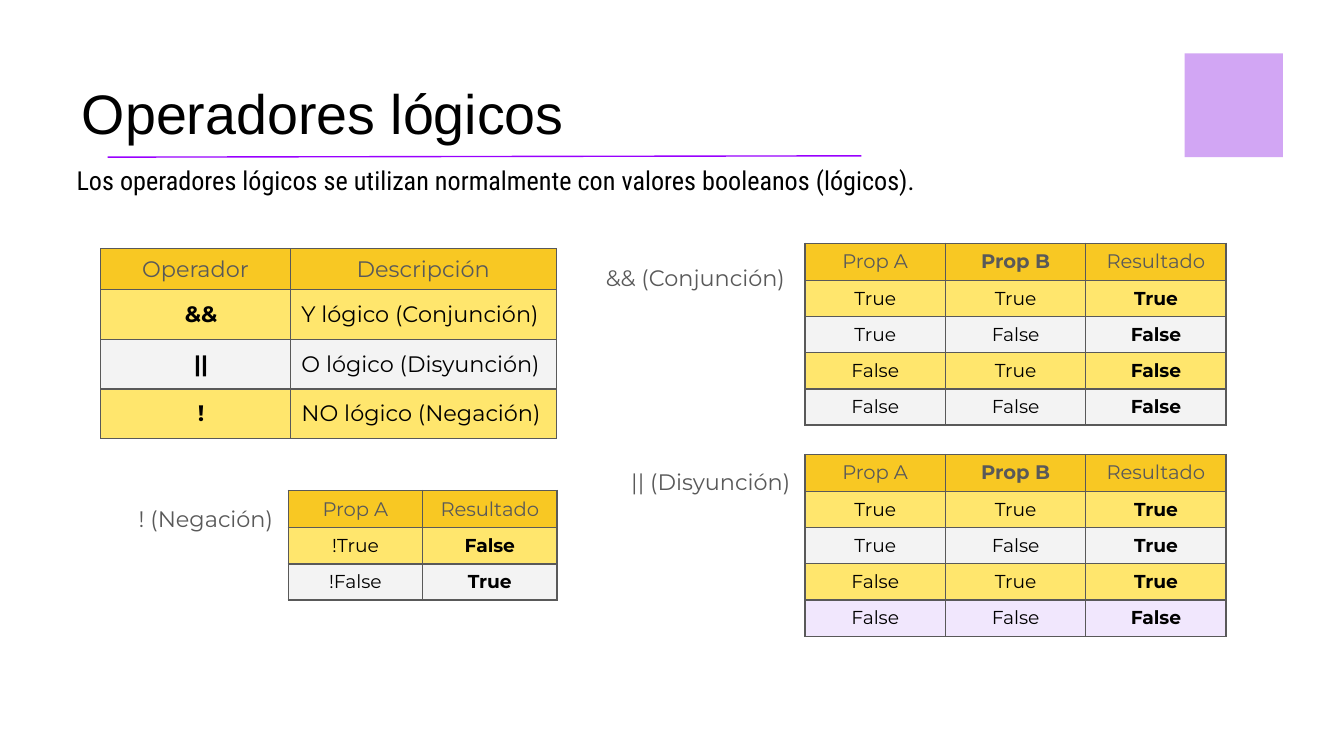
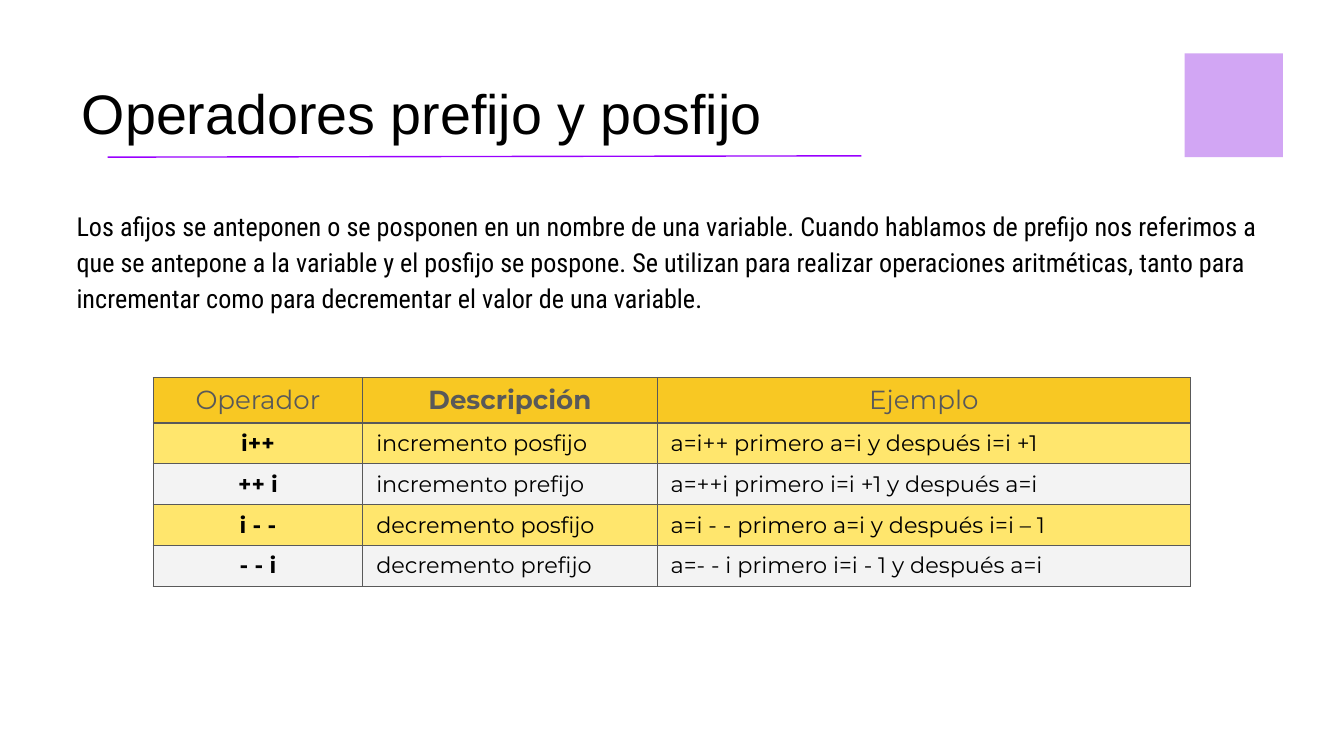
from lxml import etree
from pptx import Presentation
from pptx.dml.color import RGBColor
from pptx.enum import shapes, text
from pptx.oxml import ns
from pptx.util import Pt

BLACK = RGBColor(0x00, 0x00, 0x00)
GREY = RGBColor(0x59, 0x59, 0x59)
VIOLET = RGBColor(0x99, 0x00, 0xFF)
LILAC = RGBColor(0xD2, 0xA6, 0xF4)
PALE_LILAC = RGBColor(0xF1, 0xE7, 0xFD)
GOLD = RGBColor(0xF8, 0xC8, 0x23)
YELLOW = RGBColor(0xFF, 0xE6, 0x6D)
PALE_GREY = RGBColor(0xF3, 0xF3, 0xF3)

TITLE_FONT, BODY_FONT, TABLE_FONT = "Arial", "Roboto Condensed", "Montserrat"
CENTER, LEFT, RIGHT = text.PP_ALIGN.CENTER, text.PP_ALIGN.LEFT, text.PP_ALIGN.RIGHT
INSET = 7.2
CELL_INSETS = (7.2, 3.6, 7.2, 3.6)
ROOMY_INSETS = (6, 6, 6, 6)
ROOMY_FIRST_INSETS = (12, 6, 6, 6)

TRUTH_HEADER = ["Prop A", "Prop B", "Resultado"]
OPERANDS = [("True", "True"), ("True", "False"), ("False", "True"), ("False", "False")]


def truth_rows(results):
    return [TRUTH_HEADER] + [[*pair, result] for pair, result in zip(OPERANDS, results)]


class Deck:
    def __init__(self):
        self.prs = Presentation()
        self.prs.slide_width, self.prs.slide_height = Pt(720), Pt(405)
        self.slide = None

    def new_slide(self, title, intro, intro_top):
        self.slide = self.prs.slides.add_slide(self.prs.slide_layouts[1])
        heading, body = self.slide.placeholders
        self.fill_text(heading, (36.7, 41, 669.6, 45.4), title, TITLE_FONT, 29.8,
                       spacing=0.8, anchor=text.MSO_ANCHOR.MIDDLE)
        self.fill_text(body, (33.8, intro_top, 652.3, 261.4), intro, BODY_FONT, 14,
                       spacing=1.15)
        props = body.text_frame.paragraphs[0]._p.get_or_add_pPr()
        props.set("marL", "0")
        props.set("indent", "0")
        etree.SubElement(props, ns.qn("a:buNone"))
        self.underline()
        self.corner_square()

    def fill_text(self, shape, box, words, font, size, color=BLACK, align=LEFT,
                  spacing=1.0, anchor=text.MSO_ANCHOR.TOP):
        shape.left, shape.top, shape.width, shape.height = map(Pt, box)
        frame = shape.text_frame
        frame.word_wrap = True
        frame.auto_size = text.MSO_AUTO_SIZE.NONE
        frame.vertical_anchor = anchor
        frame.margin_left = frame.margin_right = Pt(INSET)
        frame.margin_top = frame.margin_bottom = Pt(INSET)
        paragraph = frame.paragraphs[0]
        self.style(paragraph, words, font, size, color, align)
        paragraph.line_spacing = spacing
        paragraph.space_before = paragraph.space_after = Pt(0)

    def style(self, paragraph, words, font, size, color, align, bold=False):
        paragraph.text = words
        paragraph.alignment = align
        paragraph.font.name = font
        paragraph.font.size = Pt(size)
        paragraph.font.bold = bold
        paragraph.font.color.rgb = color

    def underline(self):
        rule = self.slide.shapes.add_connector(
            shapes.MSO_CONNECTOR.STRAIGHT, Pt(57.6), Pt(84.2), Pt(461.5), Pt(83.5))
        rule.line.color.rgb = VIOLET
        rule.line.width = Pt(0.75)
        etree.SubElement(rule._element.spPr, ns.qn("a:effectLst"))

    def corner_square(self):
        square = self.slide.shapes.add_shape(
            shapes.MSO_SHAPE.RECTANGLE, Pt(634.6), Pt(28.6), Pt(52.7), Pt(55.6))
        square.shadow.inherit = False
        square.fill.solid()
        square.fill.fore_color.rgb = LILAC
        square.line.fill.background()

    def label(self, words, left, top, width):
        box = (left, top, width, 26.6)
        shape = self.slide.shapes.add_textbox(*map(Pt, box))
        self.fill_text(shape, box, words, TABLE_FONT, 12, GREY, RIGHT)

    def table(self, left, top, widths, rows, heights, sizes, bold_column,
              bold_header=None, centred=True, roomy=False, last_fill=None):
        """Draw a banded table; heights and sizes are (header, body) pairs."""
        row_heights = [heights[0]] + [heights[1]] * (len(rows) - 1)
        grid = self.slide.shapes.add_table(
            len(rows), len(widths), Pt(left), Pt(top),
            Pt(sum(widths)), Pt(sum(row_heights))).table
        grid.first_row = grid.horz_banding = False
        for column, width in zip(grid.columns, widths):
            column.width = Pt(width)
        for r, (words, height) in enumerate(zip(rows, row_heights)):
            grid.rows[r].height = Pt(height)
            header = r == 0
            fill = GOLD if header else (YELLOW if r % 2 else PALE_GREY)
            if last_fill and r == len(rows) - 1:
                fill = last_fill
            for c, word in enumerate(words):
                cell = grid.cell(r, c)
                insets = CELL_INSETS
                if roomy and not header:
                    insets = ROOMY_INSETS if c else ROOMY_FIRST_INSETS
                self.dress_cell(cell, fill, insets)
                self.style(cell.text_frame.paragraphs[0], word, TABLE_FONT,
                           sizes[0] if header else sizes[1],
                           GREY if header else BLACK,
                           CENTER if header or centred or c == 0 else LEFT,
                           c == (bold_header if header else bold_column))

    def dress_cell(self, cell, fill, insets):
        (cell.margin_left, cell.margin_top,
         cell.margin_right, cell.margin_bottom) = map(Pt, insets)
        props = cell._tc.get_or_add_tcPr()
        for side in ("lnL", "lnR", "lnT", "lnB"):
            border = etree.SubElement(props, ns.qn(f"a:{side}"), w=str(Pt(0.75)))
            solid = etree.SubElement(border, ns.qn("a:solidFill"))
            etree.SubElement(solid, ns.qn("a:srgbClr"), val=str(GREY))
        cell.fill.solid()
        cell.fill.fore_color.rgb = fill


def logical_operators(deck):
    deck.new_slide(
        "Operadores lógicos",
        "Los operadores lógicos se utilizan normalmente con valores booleanos (lógicos).",
        78.5)
    deck.table(54, 133.2, [101.5, 142.6], [
        ["Operador", "Descripción"],
        ["&&", "Y lógico (Conjunción)"],
        ["||", "O lógico (Disyunción)"],
        ["!", "NO lógico (Negación)"],
    ], (21.6, 25.2), (12, 12), bold_column=0, centred=False, roomy=True)

    truth_sizes = (10.5, 10)
    deck.table(431.3, 130.3, [75.2] * 3, truth_rows(["True", "False", "False", "False"]),
               (19.4, 17.3), truth_sizes, bold_column=2, bold_header=1)
    deck.table(431.3, 243.4, [75.2] * 3, truth_rows(["True", "True", "True", "False"]),
               (19.4, 18.7), truth_sizes, bold_column=2, bold_header=1,
               last_fill=PALE_LILAC)
    deck.table(154.4, 262.8, [72] * 2, [
        ["Prop A", "Resultado"],
        ["!True", "False"],
        ["!False", "True"],
    ], (19.4, 18.7), truth_sizes, bold_column=1)

    deck.label("! (Negación)", 54, 263.5, 99.4)
    deck.label("&& (Conjunción)", 301, 134.6, 126.7)
    deck.label("|| (Disyunción)", 303.8, 243.4, 126.7)


def affix_operators(deck):
    deck.new_slide(
        "Operadores prefijo y posfijo",
        "Los afijos se anteponen o se posponen en un nombre de una variable. "
        "Cuando hablamos de prefijo nos referimos a que se antepone a la variable "
        "y el posfijo se pospone. Se utilizan para realizar operaciones aritméticas, "
        "tanto para incrementar como para decrementar el valor de una variable.",
        103)
    deck.table(82.1, 202.3, [112.3, 157.7, 285.8], [
        ["Operador", "Descripción", "Ejemplo"],
        ["i++", "incremento posfijo", "a=i++ primero a=i y después i=i +1"],
        ["++ i", "incremento prefijo", "a=++i primero i=i +1 y después a=i"],
        ["i - -", "decremento posfijo", "a=i - - primero a=i y después i=i – 1"],
        ["- - i", "decremento prefijo", "a=- - i primero i=i - 1 y después a=i"],
    ], (21.6, 21.6), (14, 12), bold_column=0, bold_header=1, centred=False)


def main():
    deck = Deck()
    logical_operators(deck)
    affix_operators(deck)
    deck.prs.save("out.pptx")


if __name__ == "__main__":
    main()
